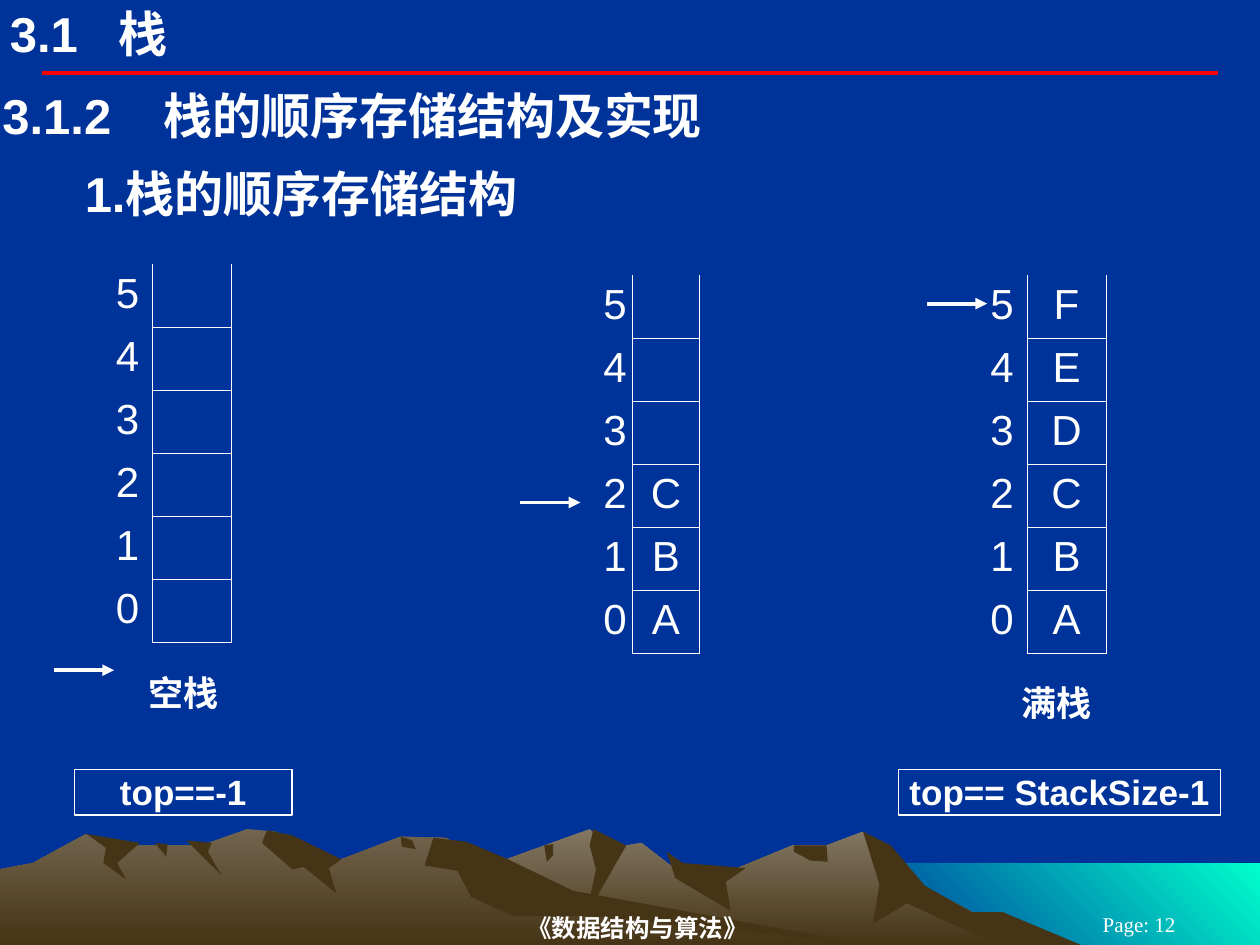
from dataclasses import dataclass

import lxml.etree
import pptx
import pptx.dml.color
import pptx.enum.shapes
import pptx.enum.text
import pptx.oxml.ns
import pptx.util

Cm = pptx.util.Cm
Pt = pptx.util.Pt
RGB = pptx.dml.color.RGBColor.from_string
qn = pptx.oxml.ns.qn
ALIGN = pptx.enum.text.PP_ALIGN
ANCHOR = pptx.enum.text.MSO_ANCHOR


@dataclass(frozen=True)
class Theme:
    back: str = "003399"
    ink: str = "FFFFFF"
    rule: str = "FF0000"
    sea: str = "00FFCC"
    shade: str = "463416"
    rock: str = "837763"
    ridge: str = "72644E"
    sans: str = "Arial"
    serif: str = "Times New Roman"
    head: float = 28
    cell: float = 24
    label: float = 20
    foot: float = 14
    page: float = 12
    thick: float = 2.25
    frame: float = 0.75
    grid: float = 0.45


THEME = Theme()


@dataclass
class Land:
    dots: list[tuple[int, int]]
    top: str = THEME.shade
    low: str = ""
    turn: int = 90


@dataclass
class Note:
    text: str
    left: float
    top: float
    width: float
    size: float = THEME.label
    height: float = 0.91
    font: str = THEME.sans
    bold: bool = True
    mid: bool = True
    frame: bool = False
    anchor: ANCHOR = ANCHOR.TOP
    tab: float = 0
    indent: float = 0


@dataclass
class Stack:
    left: float
    top: float
    cols: tuple[float, float]
    items: str


@dataclass
class Line:
    left: float
    y: float
    width: float = 1.21
    color: str = THEME.ink
    arrow: bool = True


LANDS = [
    Land([(1000, 750), (683, 750), (683, 685), (1000, 685)], THEME.sea, THEME.back, 135),
    Land([(820, 750), (723, 698), (685, 660), (656, 671), (629, 671), (566, 697), (536, 690),
          (509, 669), (486, 673), (468, 658), (394, 685), (258, 750)], THEME.rock, THEME.shade),
    Land([(796, 724), (771, 724), (734, 703), (707, 671), (685, 660), (698, 702), (693, 733),
          (720, 717), (792, 750), (858, 750)]),
    Land([(471, 658), (468, 671), (473, 690), (465, 727), (497, 671)]),
    Land([(529, 676), (536, 697), (580, 723), (576, 700), (592, 689), (542, 685)]),
    Land([(630, 671), (630, 676), (643, 683), (657, 684), (656, 671)]),
    Land([(432, 671), (439, 670), (439, 679), (434, 684)]),
    Land([(690, 750), (432, 712), (354, 665), (318, 664), (271, 682), (236, 681), (219, 660),
          (196, 658), (160, 671), (94, 671), (68, 662), (26, 685), (0, 690), (0, 750)],
         THEME.ridge, THEME.shade),
    Land([(212, 659), (208, 669), (232, 690), (241, 688), (267, 709), (261, 689), (271, 682),
          (232, 663)]),
    Land([(344, 665), (337, 687), (363, 691), (374, 712), (407, 727), (472, 727), (690, 750),
          (455, 707), (401, 681), (370, 668)]),
    Land([(318, 664), (327, 667), (330, 674), (319, 672)]),
    Land([(148, 667), (168, 669), (165, 676), (176, 695)]),
    Land([(123, 669), (133, 670), (132, 680)]),
    Land([(69, 662), (111, 669), (93, 685), (100, 698), (82, 685), (84, 673)]),
]

NOTES = [
    Note("《数据结构与算法》", 5.16, 18.34, 15.39, THEME.foot, 0.71, THEME.serif,
         anchor=ANCHOR.MIDDLE),
    Note("Page: 12", 20.96, 18.42, 4.01, THEME.page, 0.43, THEME.serif, bold=False,
         anchor=ANCHOR.MIDDLE),
    Note("3.1\t栈", 0.15, 0.05, 16.51, THEME.head, 1.19, mid=False, tab=2.18),
    Note("3.1.2\t栈的顺序存储结构及实现", 0, 1.7, 25.4, THEME.head, 1.24, mid=False, tab=3.25),
    Note("1.栈的顺序存储结构", 0, 3.28, 25.4, THEME.head, 1.24, mid=False, indent=1.66),
    Note("空栈", 1.5, 13.51, 4.39),
    Note("满栈", 19.1, 13.72, 4.39),
    Note("top==-1", 1.5, 15.52, 4.39, frame=True),
    Note("top== StackSize-1", 18.11, 15.52, 6.5, frame=True),
]

STACKS = [
    Stack(2.08, 5.33, (0.99, 1.6), ",,,,,"),
    Stack(11.91, 5.54, (0.84, 1.35), ",,,C ,B,A"),
    Stack(19.71, 5.54, (0.99, 1.6), "F,E,D,C,B,A"),
]

LINES = [
    Line(0.84, 1.47, 23.72, THEME.rule, arrow=False),
    Line(1.09, 13.51),
    Line(10.49, 10.13),
    Line(18.69, 6.12),
]


def draw_land(shapes, land: Land) -> None:
    pen = shapes.build_freeform(*land.dots[0], scale=Cm(2.54) / 100)
    pen.add_line_segments(land.dots[1:], close=True)
    shape = pen.convert_to_shape()
    shape.shadow.inherit = False
    shape.line.fill.background()
    if land.low:
        shape.fill.gradient()
        shape.fill.gradient_angle = 360 - land.turn
        for stop, tone in zip(shape.fill.gradient_stops, (land.top, land.low)):
            stop.color.rgb = RGB(tone)
    else:
        shape.fill.solid()
        shape.fill.fore_color.rgb = RGB(land.top)


def add_run(para, text: str, size: float, font: str, bold: bool) -> None:
    run = para.add_run()
    run.text = text
    run.font.size = Pt(size)
    run.font.name = font
    run.font.bold = bold
    run.font.color.rgb = RGB(THEME.ink)


def draw_note(shapes, note: Note) -> None:
    box = tuple(Cm(n) for n in (note.left, note.top, note.width, note.height))
    if note.frame:
        shape = shapes.add_shape(pptx.enum.shapes.MSO_SHAPE.RECTANGLE, *box)
        shape.shadow.inherit = False
        shape.fill.background()
        shape.line.color.rgb = RGB(THEME.ink)
        shape.line.width = Pt(THEME.frame)
    else:
        shape = shapes.add_textbox(*box)
    frame = shape.text_frame
    frame.word_wrap = True
    frame.vertical_anchor = note.anchor
    frame.margin_left = frame.margin_right = Cm(0.05)
    frame.margin_top = frame.margin_bottom = Cm(0.02)
    para = frame.paragraphs[0]
    para.alignment = ALIGN.CENTER if note.mid else ALIGN.LEFT
    props = para._p.get_or_add_pPr()
    if note.indent:
        props.set("marL", str(Cm(note.indent)))
    if note.tab:
        tabs = lxml.etree.SubElement(props, qn("a:tabLst"))
        lxml.etree.SubElement(tabs, qn("a:tab"), pos=str(Cm(note.tab)), algn="l")
    add_run(para, note.text, note.size, note.font, note.bold)


def set_edges(cell, shown: str) -> None:
    props = cell._tc.get_or_add_tcPr()
    for spot, side in enumerate("LRTB"):
        edge = lxml.etree.Element(qn(f"a:ln{side}"), w=str(Pt(THEME.grid)))
        if side in shown:
            fill = lxml.etree.SubElement(edge, qn("a:solidFill"))
            lxml.etree.SubElement(fill, qn("a:srgbClr"), val=THEME.ink)
        else:
            lxml.etree.SubElement(edge, qn("a:noFill"))
        props.insert(spot, edge)


def draw_stack(shapes, stack: Stack) -> None:
    items = stack.items.split(",")
    count = len(items)
    high = 1.27
    table = shapes.add_table(count, 2, Cm(stack.left), Cm(stack.top),
                             Cm(sum(stack.cols)), Cm(high * count)).table
    table.first_row = table.horz_banding = False
    for col, width in zip(table.columns, stack.cols):
        col.width = Cm(width)
    for row, item in enumerate(items):
        table.rows[row].height = Cm(high)
        for col, text in enumerate((str(count - 1 - row), item)):
            cell = table.cell(row, col)
            cell.fill.background()
            set_edges(cell, "R" if col == 0 else "LRTB" if row else "LRB")
            para = cell.text_frame.paragraphs[0]
            para.alignment = ALIGN.CENTER if col else ALIGN.LEFT
            if text:
                add_run(para, text, THEME.cell, THEME.sans, False)


def draw_line(shapes, line: Line) -> None:
    link = shapes.add_connector(pptx.enum.shapes.MSO_CONNECTOR.STRAIGHT, Cm(line.left),
                                Cm(line.y), Cm(line.left + line.width), Cm(line.y))
    link.line.color.rgb = RGB(line.color)
    link.line.width = Pt(THEME.thick)
    if line.arrow:
        lxml.etree.SubElement(link.line._get_or_add_ln(), qn("a:tailEnd"), type="triangle")
    lxml.etree.SubElement(link._element.spPr, qn("a:effectLst"))


def main() -> None:
    deck = pptx.Presentation()
    deck.slide_width, deck.slide_height = Cm(25.4), Cm(19.05)
    slide = deck.slides.add_slide(deck.slide_layouts[6])
    slide.background.fill.solid()
    slide.background.fill.fore_color.rgb = RGB(THEME.back)
    for draw, things in ((draw_land, LANDS), (draw_note, NOTES),
                         (draw_stack, STACKS), (draw_line, LINES)):
        for thing in things:
            draw(slide.shapes, thing)
    deck.save("out.pptx")


if __name__ == "__main__":
    main()
